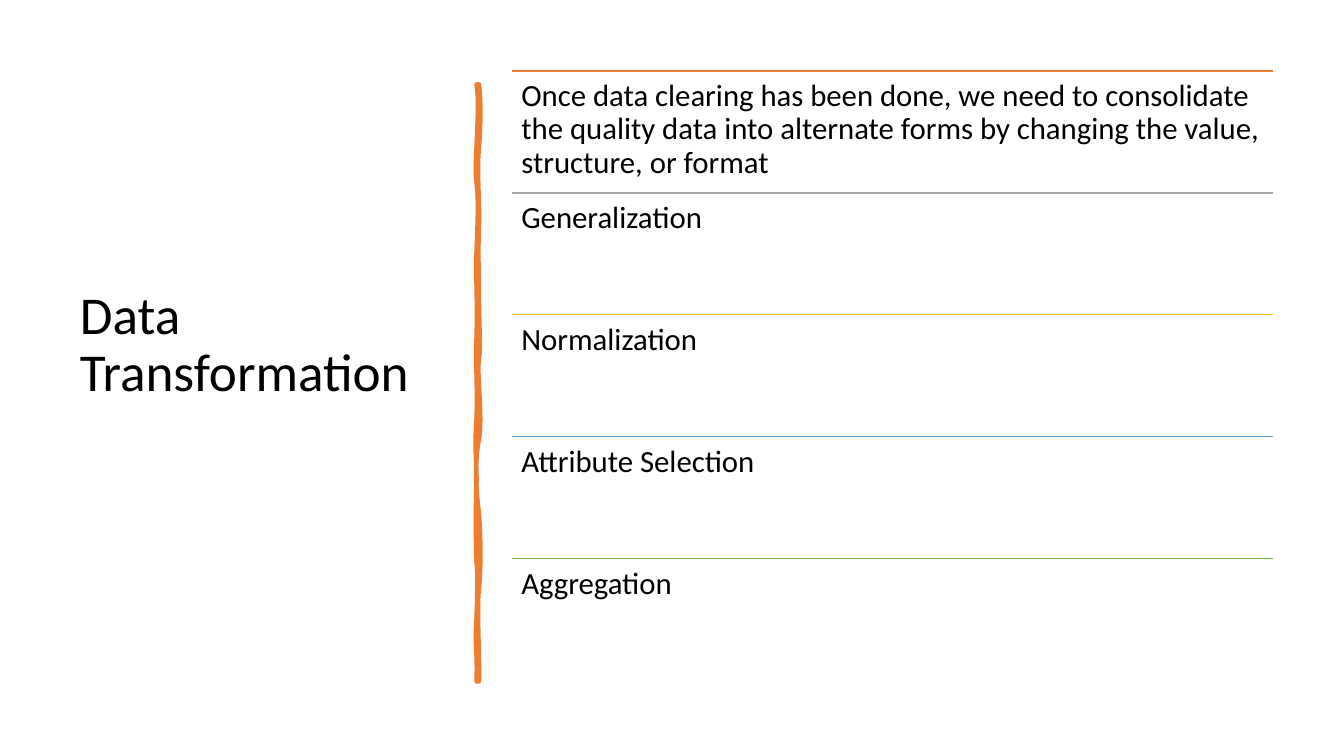
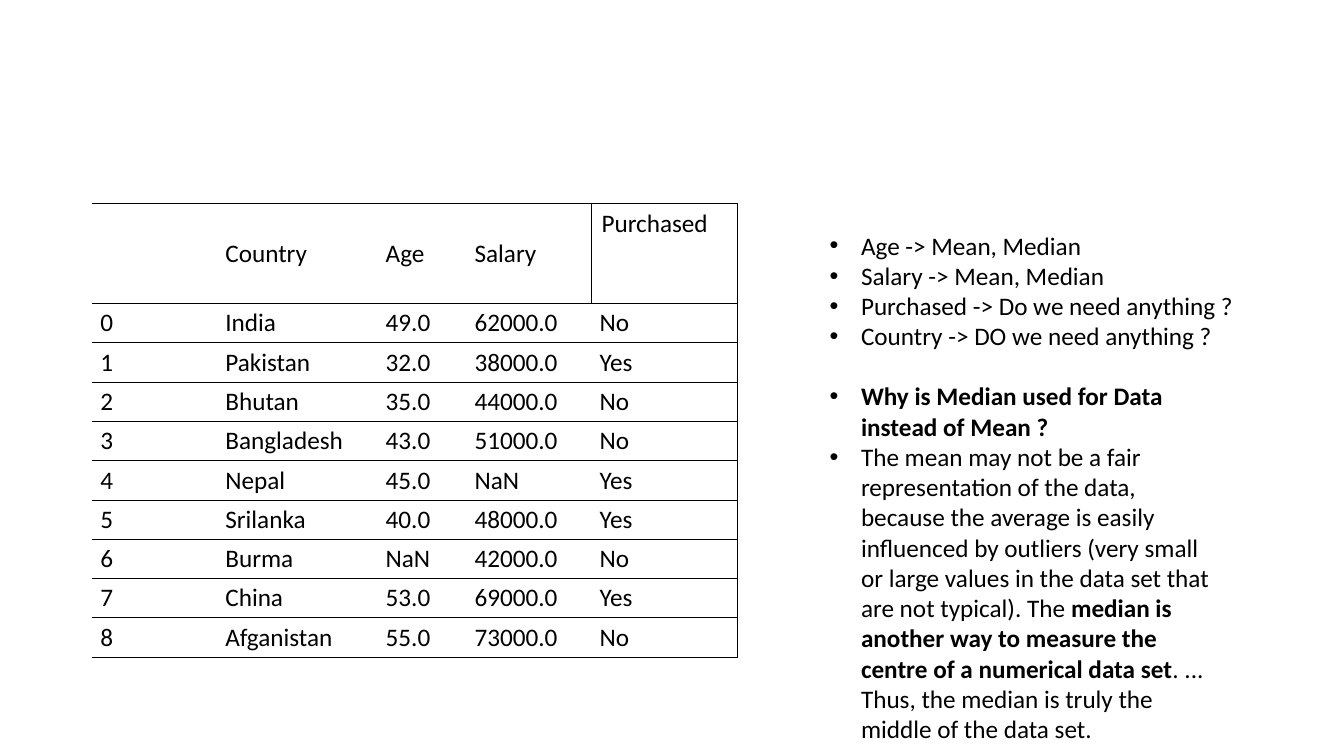
"""Build two slides on data transformation and on filling missing values."""
from typing import NamedTuple

from lxml import etree
from pptx import Presentation
from pptx.dml.color import RGBColor
from pptx.enum.shapes import MSO_CONNECTOR
from pptx.enum.text import MSO_ANCHOR, MSO_AUTO_SIZE, PP_ALIGN
from pptx.oxml.ns import qn
from pptx.util import Cm, Pt

STRAIGHT = MSO_CONNECTOR.STRAIGHT
TOP, MIDDLE = MSO_ANCHOR.TOP, MSO_ANCHOR.MIDDLE
FIT_SHAPE, NO_FIT = MSO_AUTO_SIZE.SHAPE_TO_FIT_TEXT, MSO_AUTO_SIZE.NONE
LEFT = PP_ALIGN.LEFT

FONT = "Calibri"
BLACK = RGBColor(0x00, 0x00, 0x00)
WHITE = RGBColor(0xFF, 0xFF, 0xFF)
ORANGE = RGBColor(0xED, 0x7D, 0x31)
GRAY = RGBColor(0xA5, 0xA5, 0xA5)
GOLD = RGBColor(0xFF, 0xC0, 0x00)
BLUE = RGBColor(0x5B, 0x9B, 0xD5)
GREEN = RGBColor(0x70, 0xAD, 0x47)

TITLE_ONLY, BLANK = 5, 6
BULLET_INDENT = Cm(0.79)


class Box(NamedTuple):
    """Position and size in centimetres."""
    left: float
    top: float
    width: float
    height: float


class Step(NamedTuple):
    """A transformation step and the colour of its rule."""
    text: str
    color: RGBColor


class Words(NamedTuple):
    """A stretch of text in one weight."""
    text: str
    bold: bool = False


class Notes(NamedTuple):
    """A bulleted list with its place."""
    box: Box
    bullets: list[list[Words]]


STEPS = [
    Step("Once data clearing has been done, we need to consolidate the quality data "
         "into alternate forms by changing the value, structure, or format", ORANGE),
    Step("Generalization", GRAY),
    Step("Normalization", GOLD),
    Step("Attribute Selection", BLUE),
    Step("Aggregation", GREEN),
]
FIRST_STEP = Box(12.91, 1.79, 19.18, 3.07)

BRUSH_RIGHT = [
    (12.07, 2.13), (12.12, 2.59), (12.12, 3.02), (12.07, 3.71), (12.01, 4.39),
    (12.09, 4.95), (12.07, 5.74), (12.04, 6.53), (12.07, 6.65), (12.07, 7.47),
    (12.07, 8.26), (12.12, 8.69), (12.07, 9.04), (12.01, 9.4), (12.17, 10.52),
    (12.07, 11.07), (11.96, 11.61), (11.99, 12.29), (12.07, 12.95), (12.12, 13.61),
    (12.12, 14.33), (12.07, 14.83), (12.01, 15.32), (12.09, 16.51), (12.07, 17.17),
]
BRUSH_LEFT = [
    (12.01, 17.17), (12.04, 16.41), (11.96, 16.36), (12.01, 15.57), (12.04, 14.81),
    (12.04, 14.48), (12.01, 14.15), (11.99, 13.82), (11.99, 12.57), (12.01, 12.12),
    (12.01, 11.66), (11.96, 11.3), (12.01, 10.54), (12.04, 9.8), (11.99, 9.47),
    (12.01, 8.51), (12.04, 7.57), (11.99, 7.14), (12.01, 6.35), (12.04, 5.54),
    (12.07, 5.08), (12.01, 4.6), (11.94, 4.14), (12.12, 2.64), (12.01, 2.13),
]
BRUSH_FOOT = [(12.04, 17.17), (12.01, 17.17)]
BRUSH_HEAD = [(12.04, 2.13), (12.04, 2.13), (12.07, 2.13)]

PEOPLE = [
    ["", "Country", "Age", "Salary", "Purchased"],
    ["0", "India", "49.0", "62000.0", "No"],
    ["1", "Pakistan", "32.0", "38000.0", "Yes"],
    ["2", "Bhutan", "35.0", "44000.0", "No"],
    ["3", "Bangladesh", "43.0", "51000.0", "No"],
    ["4", "Nepal", "45.0", "NaN", "Yes"],
    ["5", "Srilanka", "40.0", "48000.0", "Yes"],
    ["6", "Burma", "NaN", "42000.0", "No"],
    ["7", "China", "53.0", "69000.0", "Yes"],
    ["8", "Afganistan", "55.0", "73000.0", "No"],
]
COLUMN_WIDTHS = [3.15, 4.04, 2.24, 3.15, 3.68]
HEADER_HEIGHT, ROW_HEIGHT = 2.52, 0.99

NOTES = [
    Notes(Box(20.66, 5.67, 11.71, 3.33), [
        [Words("Age -> Mean, Median")],
        [Words("Salary -> Mean, Median")],
        [Words("Purchased -> Do we need anything ?")],
        [Words("Country -> DO we need anything ?")],
    ]),
    Notes(Box(20.66, 9.47, 10.44, 10.26), [
        [Words("Why is Median used for Data instead of Mean ?", True)],
        [Words("The mean may not be a fair representation of the data, because the "
               "average is easily influenced by outliers (very small or large values "
               "in the data set that are not typical). The\u00a0"),
         Words("median is another way to measure the centre of a numerical data set",
               True),
         Words(". ... Thus, the median is truly the middle of the data set.")],
    ]),
]


def lengths(box: Box) -> list[Cm]:
    """Turn a box into lengths."""
    return [Cm(value) for value in box]


def add_words(paragraph, words: Words, size: float) -> None:
    """Add one formatted run."""
    run = paragraph.add_run()
    run.text = words.text
    run.font.name = FONT
    run.font.size = Pt(size)
    run.font.bold = words.bold
    run.font.color.rgb = BLACK


def set_margins(area, horizontal: float, vertical: float) -> None:
    """Set the inner margins of a text frame or cell."""
    area.margin_left = area.margin_right = Cm(horizontal)
    area.margin_top = area.margin_bottom = Cm(vertical)


def add_title(slide, text: str, box: Box) -> None:
    """Place and fill the title, set a little above the middle."""
    title = slide.shapes.title
    title.left, title.top, title.width, title.height = lengths(box)
    frame = title.text_frame
    frame.word_wrap = True
    frame.auto_size = NO_FIT
    frame.vertical_anchor = MIDDLE
    frame.margin_bottom = Cm(1.78)
    heading = frame.paragraphs[0]
    heading.alignment = LEFT
    heading.line_spacing = 0.9
    add_words(heading, Words(text), 38)


def add_step(slide, step: Step, box: Box) -> None:
    """Draw a coloured rule with the step below it."""
    left, top, width, height = lengths(box)
    rule = slide.shapes.add_connector(STRAIGHT, left, top, left + width, top)
    rule.line.color.rgb = step.color
    rule.line.width = Pt(1)
    etree.SubElement(rule._element.spPr, qn("a:effectLst"))
    frame = slide.shapes.add_textbox(left, top, width, height).text_frame
    frame.word_wrap = True
    set_margins(frame, 0.23, 0.23)
    paragraph = frame.paragraphs[0]
    paragraph.line_spacing = 0.9
    add_words(paragraph, Words(step.text), 22)


def bend_segments(outline) -> None:
    """Merge each three straight segments into one cubic curve."""
    segments = list(outline._element.iter(qn("a:lnTo")))
    for start in range(0, len(segments), 3):
        curve = etree.Element(qn("a:cubicBezTo"))
        segments[start].addprevious(curve)
        for segment in segments[start:start + 3]:
            curve.append(segment[0])
            segment.getparent().remove(segment)


def add_brush_stroke(slide) -> None:
    """Draw the uneven vertical divider."""
    knots = [(Cm(x), Cm(y)) for x, y in
             BRUSH_RIGHT + BRUSH_FOOT + BRUSH_LEFT + BRUSH_HEAD]
    builder = slide.shapes.build_freeform(*knots[0])
    builder.add_line_segments(knots[1:], close=True)
    stroke = builder.convert_to_shape()
    bend_segments(stroke)
    stroke.shadow.inherit = False
    stroke.fill.solid()
    stroke.fill.fore_color.rgb = ORANGE
    stroke.line.color.rgb = ORANGE
    stroke.line.width = Pt(3.25)
    etree.SubElement(stroke.line._get_or_add_ln(), qn("a:round"))


def set_borders(cell, shown: str) -> None:
    """Draw the named sides in black and clear the others."""
    properties = cell._tc.get_or_add_tcPr()
    for side in "LRTB":
        border = etree.SubElement(properties, qn(f"a:ln{side}"))
        if side in shown:
            border.set("w", str(Pt(0.75)))
            fill = etree.SubElement(border, qn("a:solidFill"))
            etree.SubElement(fill, qn("a:srgbClr"), val=str(BLACK))
        else:
            border.set("w", "0")
            etree.SubElement(border, qn("a:noFill"))


def add_people_table(slide) -> None:
    """Build the table of people with missing values."""
    box = Box(2.33, 5.13, sum(COLUMN_WIDTHS),
              HEADER_HEIGHT + ROW_HEIGHT * (len(PEOPLE) - 1))
    table = slide.shapes.add_table(len(PEOPLE), len(COLUMN_WIDTHS), *lengths(box)).table
    table.first_row = table.horz_banding = False
    last = len(COLUMN_WIDTHS) - 1
    for column, width in zip(table.columns, COLUMN_WIDTHS):
        column.width = Cm(width)
    for r, person in enumerate(PEOPLE):
        table.rows[r].height = Cm(ROW_HEIGHT if r else HEADER_HEIGHT)
        for c, value in enumerate(person):
            cell = table.cell(r, c)
            purchased_header = r == 0 and c == last
            right = "R" if c == last or (r == 0 and c == last - 1) else ""
            set_borders(cell, "TB" + right + ("L" if purchased_header else ""))
            cell.fill.solid()
            cell.fill.fore_color.rgb = WHITE
            cell.vertical_anchor = TOP if purchased_header else MIDDLE
            if purchased_header:
                set_margins(cell, 0.25, 0.13)
            else:
                set_margins(cell, 0.2, 0.1)
            if value:
                add_words(cell.text_frame.paragraphs[0], Words(value), 18)


def add_notes(slide, notes: Notes) -> None:
    """Add a bulleted text box."""
    frame = slide.shapes.add_textbox(*lengths(notes.box)).text_frame
    frame.word_wrap = True
    frame.auto_size = FIT_SHAPE
    for index, bullet in enumerate(notes.bullets):
        paragraph = frame.add_paragraph() if index else frame.paragraphs[0]
        properties = paragraph._p.get_or_add_pPr()
        properties.set("marL", str(BULLET_INDENT))
        properties.set("indent", str(-BULLET_INDENT))
        etree.SubElement(properties, qn("a:buFont"), typeface="Arial")
        etree.SubElement(properties, qn("a:buChar"), char="•")
        for words in bullet:
            add_words(paragraph, words, 18)


def build_transformation(deck) -> None:
    """Build the slide of transformation steps."""
    slide = deck.slides.add_slide(deck.slide_layouts[TITLE_ONLY])
    add_title(slide, "Data Transformation", Box(1.76, 1.78, 9.5, 15.52))
    add_brush_stroke(slide)
    for index, step in enumerate(STEPS):
        top = FIRST_STEP.top + index * FIRST_STEP.height
        add_step(slide, step, FIRST_STEP._replace(top=top))


def build_missing_values(deck) -> None:
    """Build the slide of missing values."""
    slide = deck.slides.add_slide(deck.slide_layouts[BLANK])
    add_people_table(slide)
    for notes in NOTES:
        add_notes(slide, notes)


def main() -> None:
    """Build and save the deck."""
    deck = Presentation()
    deck.slide_width, deck.slide_height = Cm(33.87), Cm(19.05)
    build_transformation(deck)
    build_missing_values(deck)
    deck.save("out.pptx")


main()
